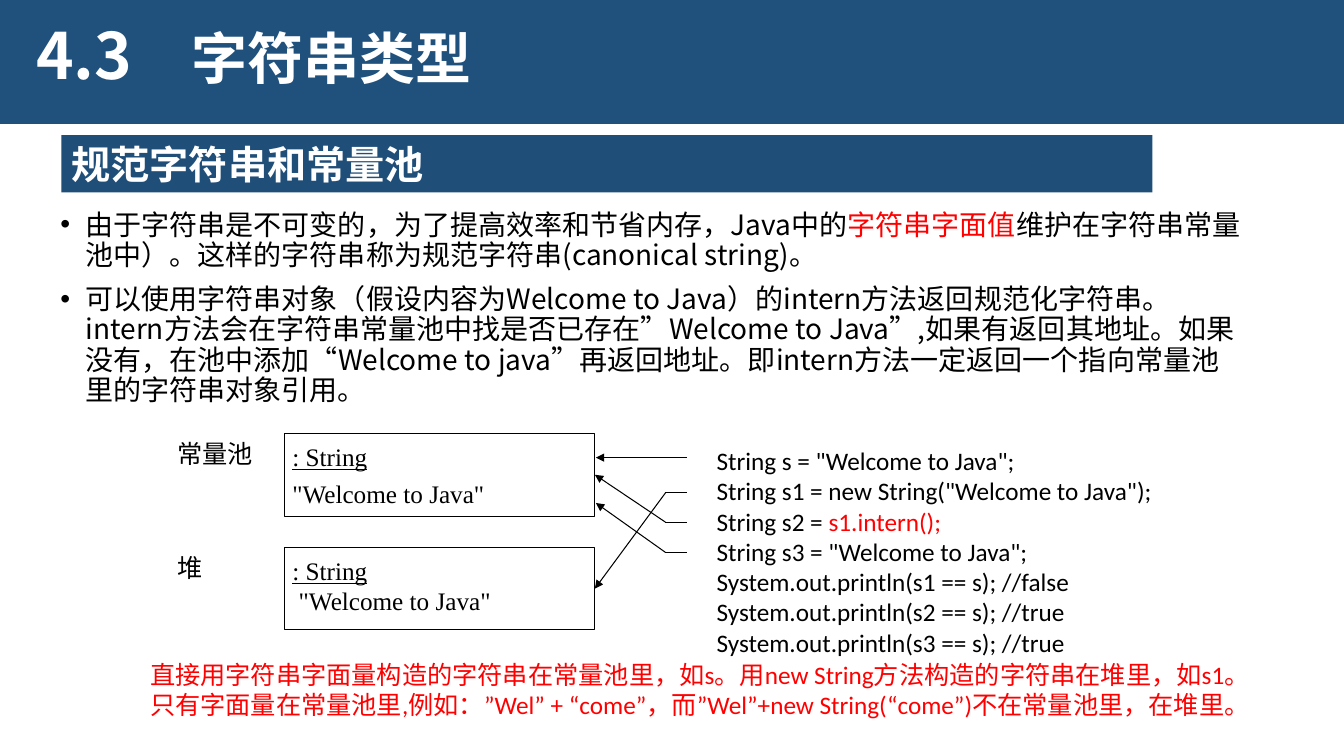
import pptx
import pptx.util
import pptx.dml.color
import pptx.enum.shapes
import pptx.enum.text
from lxml import etree

Inches, Pt = pptx.util.Inches, pptx.util.Pt
RGBColor = pptx.dml.color.RGBColor
Anchor = pptx.enum.text.MSO_ANCHOR
Align = pptx.enum.text.PP_ALIGN

WHITE = RGBColor(0xFF, 0xFF, 0xFF)
BLACK = RGBColor(0, 0, 0)
RED = RGBColor(0xFF, 0, 0)
BAND = RGBColor(0x20, 0x51, 0x7C)
BAR = RGBColor(0x1F, 0x4E, 0x79)
NOTO, CODE, SERIF = "Noto Sans CJK SC", "Calibri", "Times New Roman"
NS = "{http://schemas.openxmlformats.org/drawingml/2006/main}"

POINTS = [
    [("由于字符串是不可变的，为了提高效率和节省内存，Java中的", BLACK),
     ("字符串字面值", RED),
     ("维护在字符串常量池中）。这样的字符串称为规范字符串(canonical string)。", BLACK)],
    [("可以使用字符串对象（假设内容为Welcome to Java）的intern方法返回规范化字符串。"
      "intern方法会在字符串常量池中找是否已存在”Welcome to Java”,如果有返回其地址。"
      "如果没有，在池中添加“Welcome to java”再返回地址。"
      "即intern方法一定返回一个指向常量池里的字符串对象引用。", BLACK)],
]
LINES = [
    [('String s = "Welcome to Java";', BLACK)],
    [('String s1 = new String("Welcome to Java");', BLACK)],
    [("String s2 = ", BLACK), ("s1.intern();", RED)],
    [('String s3 = "Welcome to Java";', BLACK)],
    [("System.out.println(s1 == s); //false", BLACK)],
    [("System.out.println(s2 == s); //true", BLACK)],
    [("System.out.println(s3 == s); //true", BLACK)],
]
NOTES = [
    [("直接用字符串字面量构造的字符串在常量池里，如s。"
      "用new String方法构造的字符串在堆里，如s1。", RED)],
    [("只有字面量在常量池里,例如：”Wel” + “come”，"
      "而”Wel”+new String(“come”)不在常量池里，在堆里。", RED)],
]


def add_run(para, text, size, face, color, bold=False, under=False):
    run = para.add_run()
    run.text = text
    font = run.font
    font.size, font.name, font.bold, font.underline = Pt(size), face, bold, under
    font.color.rgb = color
    etree.SubElement(run._r.get_or_add_rPr(), NS + "ea", typeface=face)


def fill_text(frame, paras, size, face, bold=False, pitch=None):
    """Write paragraphs, each a list of (text, colour) runs, and return them."""
    for i, runs in enumerate(paras):
        para = frame.paragraphs[0] if i == 0 else frame.add_paragraph()
        para.alignment = Align.LEFT
        if pitch:
            para.line_spacing = Pt(pitch)
        for text, color in runs:
            add_run(para, text, size, face, color, bold)
    return frame.paragraphs


def add_text(slide, place, paras, size, face, wrap=True, **style):
    box = slide.shapes.add_textbox(*map(Inches, place))
    box.text_frame.word_wrap = wrap
    return box.text_frame, fill_text(box.text_frame, paras, size, face, **style)


def indent(para, left, first):
    props = para._p.get_or_add_pPr()
    props.set("marL", str(Inches(left)))
    props.set("indent", str(Inches(first)))
    return props


def add_rect(slide, place, fill, line=None):
    kind = pptx.enum.shapes.MSO_SHAPE.RECTANGLE
    rect = slide.shapes.add_shape(kind, *map(Inches, place))
    rect.shadow.inherit = False
    rect.fill.solid()
    rect.fill.fore_color.rgb = fill
    if line is None:
        rect.line.fill.background()
    else:
        rect.line.color.rgb = line
        rect.line.width = Pt(0.75)
    rect.text_frame.word_wrap = True
    rect.text_frame.vertical_anchor = Anchor.TOP
    return rect


def add_object(slide, top, value, gap):
    """Draw a String object box with its underlined type and its value."""
    rect = add_rect(slide, (2.82, top, 3.08, 0.82), WHITE, BLACK)
    frame = rect.text_frame
    frame.margin_left = frame.margin_right = Inches(0.08)
    frame.margin_top = frame.margin_bottom = Inches(0.08)
    head, body = frame.paragraphs[0], frame.add_paragraph()
    head.alignment = body.alignment = Align.LEFT
    body.space_before = Pt(gap)
    add_run(head, ": String", 18, SERIF, BLACK, under=True)
    add_run(body, value, 18, SERIF, BLACK)
    return rect


def add_line(slide, start, end, arrow=False, goal=None):
    kind = pptx.enum.shapes.MSO_CONNECTOR.STRAIGHT
    line = slide.shapes.add_connector(kind, *map(Inches, start + end))
    if goal is not None:
        line.end_connect(goal, 3)
    line.line.color.rgb = BLACK
    line.line.width = Pt(0.75)
    if arrow:
        etree.SubElement(line.line._get_or_add_ln(), NS + "tailEnd", type="triangle")
    etree.SubElement(line._element.spPr, NS + "effectLst")


def add_title(slide):
    title = slide.shapes.title
    title.left, title.top = Inches(1.8), Inches(0.25)
    title.width, title.height = Inches(8.09), Inches(0.54)
    frame = title.text_frame
    frame.vertical_anchor = Anchor.TOP
    frame.auto_size = pptx.enum.text.MSO_AUTO_SIZE.NONE
    fill_text(frame, [[("字符串类型", WHITE)]], 40, NOTO, True, 43)


def add_head(slide):
    band = add_rect(slide, (-0.03, 0, 13.36, 1.23), BAND)
    slide.shapes._spTree.insert(2, band._element)
    add_title(slide)
    add_text(slide, (0.26, 0.19, 1.37, 0.91), [[("4.3", WHITE)]], 45.6, NOTO,
             bold=True, pitch=49)
    bar = add_rect(slide, (0.61, 1.34, 10.82, 0.57), BAR)
    fill_text(bar.text_frame, [[("规范字符串和常量池", WHITE)]], 28, NOTO, True, 33.5)


def add_points(slide):
    _, paras = add_text(slide, (0.5, 2.04, 11.94, 5.12), POINTS, 20, NOTO, pitch=21.6)
    for i, para in enumerate(paras):
        para.space_before = Pt(10 if i else 0)
        props = indent(para, 0.25, -0.25)
        etree.SubElement(props, NS + "buFont", typeface="Arial")
        etree.SubElement(props, NS + "buChar", char="•")


def add_code(slide):
    frame, paras = add_text(slide, (6.81, 4.36, 4.77, 2.22), LINES, 18, CODE, wrap=False)
    frame.vertical_anchor = Anchor.MIDDLE
    for para in paras:
        indent(para, 0, 0.2)


def add_memory(slide):
    pool = add_object(slide, 4.3, '"Welcome to Java"', 5)
    heap = add_object(slide, 5.43, ' "Welcome to Java"', 0)
    add_line(slide, (6.81, 4.54), (5.91, 4.54), True)
    for y, end, goal in ((4.89, 5.87, heap), (5.18, 4.69, pool), (5.48, 4.99, None)):
        add_line(slide, (6.81, y), (6.6, y))
        add_line(slide, (6.6, y), (5.91, end), True, goal)
    for text, top, width in (("常量池", 4.3, 0.96), ("堆", 5.43, 0.45)):
        add_text(slide, (1.66, top, width, 0.4), [[(text, BLACK)]], 18, CODE, wrap=False)


def main():
    deck = pptx.Presentation()
    deck.slide_width, deck.slide_height = Inches(13.33), Inches(7.5)
    slide = deck.slides.add_slide(deck.slide_layouts[5])
    add_head(slide)
    add_points(slide)
    add_code(slide)
    add_memory(slide)
    add_text(slide, (1.39, 6.49, 11.81, 0.71), NOTES, 18, CODE)
    deck.save("out.pptx")


if __name__ == "__main__":
    main()
